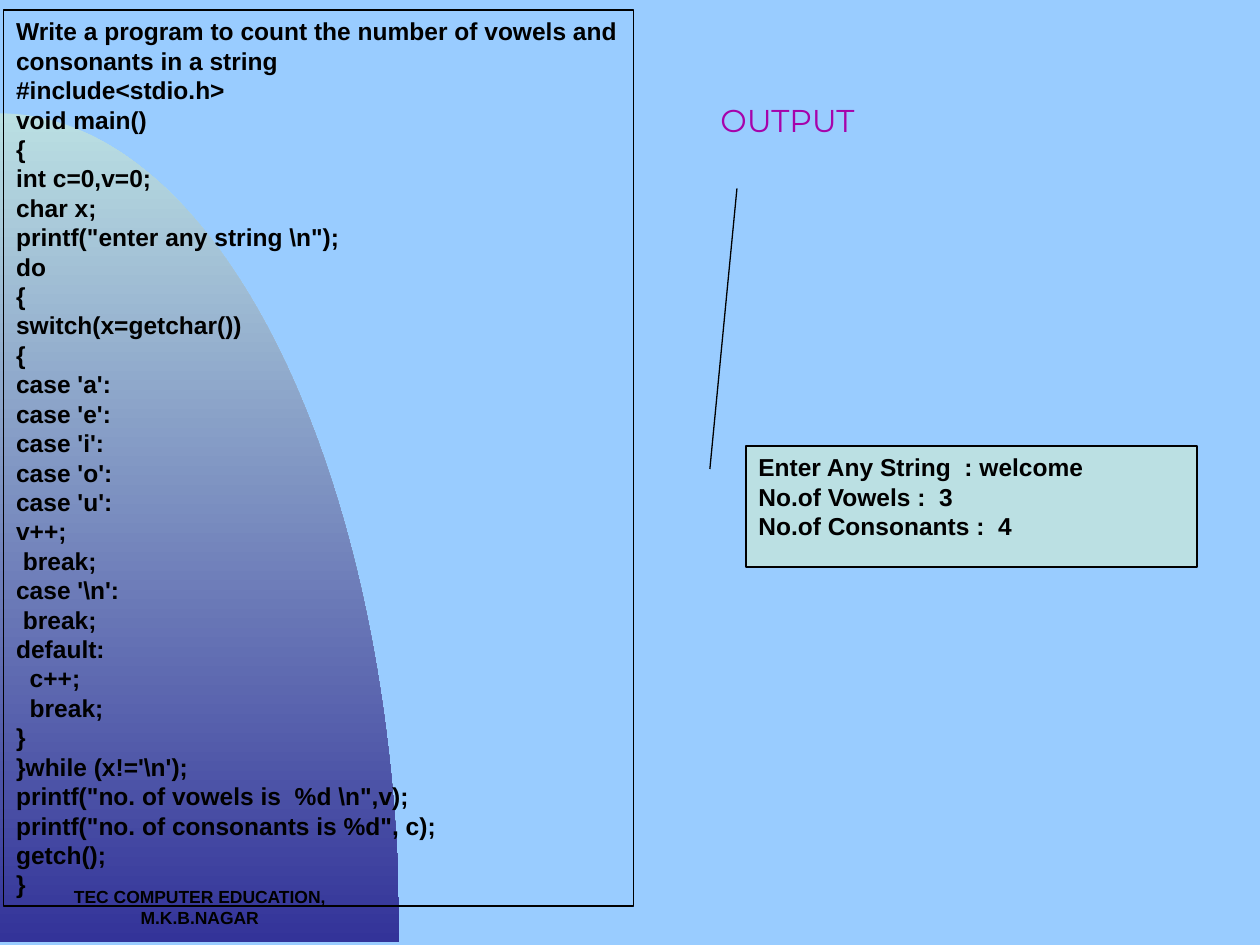
from math import cos, pi, sin

from lxml import etree
from pptx import Presentation
from pptx.dml.color import RGBColor
from pptx.enum.shapes import MSO_SHAPE
from pptx.enum.text import MSO_ANCHOR, MSO_AUTO_SIZE, PP_ALIGN
from pptx.oxml.ns import qn
from pptx.util import Inches, Pt

RECT, CALLOUT = MSO_SHAPE.RECTANGLE, MSO_SHAPE.LINE_CALLOUT_1
LEFT, CENTER = PP_ALIGN.LEFT, PP_ALIGN.CENTER
TOP, GROW = MSO_ANCHOR.TOP, MSO_AUTO_SIZE.SHAPE_TO_FIT_TEXT

THEME = {
    "sky": RGBColor.from_string("99CCFF"),
    "mint": RGBColor.from_string("BBE0E3"),
    "navy": RGBColor.from_string("333399"),
    "ink": RGBColor.from_string("000000"),
    "plum": RGBColor.from_string("A603AB"),
    "edge": "EAEAEA",
    "font": "Arial", "head": "Montserrat",
    "foot": Pt(10), "body": Pt(14), "title": Pt(18), "line": Pt(0.75),
}

CODE = r"""Write a program to count the number of vowels and consonants in a string
#include<stdio.h>
void main()
{
int c=0,v=0;
char x;
printf("enter any string \n");
do
{
switch(x=getchar())
{
case 'a':
case 'e':
case 'i':
case 'o':
case 'u':
v++;
 break;
case '\n':
 break;
default:
  c++;
  break;
}
}while (x!='\n');
printf("no. of vowels is  %d \n",v);
printf("no. of consonants is %d", c);
getch();
}"""
RESULT = """Enter Any String  : welcome
No.of Vowels :  3
No.of Consonants :  4"""

deck = Presentation()
deck.slide_width, deck.slide_height = Inches(10), Inches(7.5)
slide = deck.slides.add_slide(deck.slide_layouts[6])
slide.background.fill.solid()
slide.background.fill.fore_color.rgb = THEME["sky"]
shapes = slide.shapes


def area(*parts):
    """Turn percent of the slide's width and height into lengths."""
    sides = (deck.slide_width, deck.slide_height) * 2
    return [int(side * part / 100) for side, part in zip(sides, parts)]


def write(shape, text, size, align=LEFT):
    """Fill a shape with bold text, one paragraph a line."""
    frame = shape.text_frame
    frame.word_wrap = True
    frame.vertical_anchor = TOP
    frame.text = text
    for para in frame.paragraphs:
        para.alignment = align
        font = para.font
        font.name, font.size, font.bold = THEME["font"], size, True
        font.color.rgb = THEME["ink"]


# Quarter ellipse behind the code
wide, high, top, steps = 31.7, 87.73, 12, 90
turns = [pi / 2 * step / steps for step in range(steps + 1)]
curve = [area(wide * sin(turn), top + high * (1 - cos(turn))) for turn in turns]
pen = shapes.build_freeform(*curve[0])
pen.add_line_segments(curve[1:] + [area(0, top + high)], close=True)
arc = pen.convert_to_shape()
arc.shadow.inherit = False
arc.line.fill.background()
arc.fill.gradient()
arc.fill.gradient_angle = 270
for stop, name in zip(arc.fill.gradient_stops, ("mint", "navy")):
    stop.color.rgb = THEME[name]

# Footer, inset so that it breaks into two lines beside the last brace
foot = shapes.add_textbox(*area(0, 93.07, wide, 6.93))
write(foot, "TEC COMPUTER EDUCATION, M.K.B.NAGAR", THEME["foot"], CENTER)
foot.text_frame.margin_left = foot.text_frame.margin_right = area(3)[0]

# Code frame and result callout
code = shapes.add_shape(RECT, *area(0.3, 1.07, 50, 94.8))
code.fill.background()
note = shapes.add_shape(CALLOUT, *area(59.2, 47.2, 35.8, 12.8))
note.fill.solid()
note.fill.fore_color.rgb = THEME["mint"]
for spot, value in enumerate((0.19, -0.08, -2.13, -0.02)):
    note.adjustments[spot] = value
for box, text in ((code, CODE), (note, RESULT)):
    box.shadow.inherit = False
    box.line.color.rgb = THEME["ink"]
    box.line.width = THEME["line"]
    write(box, text, THEME["body"])
code.text_frame.auto_size = GROW

# Output heading with outlined letters
head = shapes.add_textbox(*area(50.8, 10, 23.4, 9.47))
head.text_frame.word_wrap = True
para = head.text_frame.paragraphs[0]
para.alignment = CENTER
run = para.add_run()
run.text = "OUTPUT"
run.font.name, run.font.size = THEME["head"], THEME["title"]
run.font.color.rgb = THEME["plum"]
line = etree.Element(qn("a:ln"), w=str(Pt(1)))
fill = etree.SubElement(line, qn("a:solidFill"))
etree.SubElement(fill, qn("a:srgbClr"), val=THEME["edge"])
run._r.get_or_add_rPr().insert(0, line)

deck.save("out.pptx")
